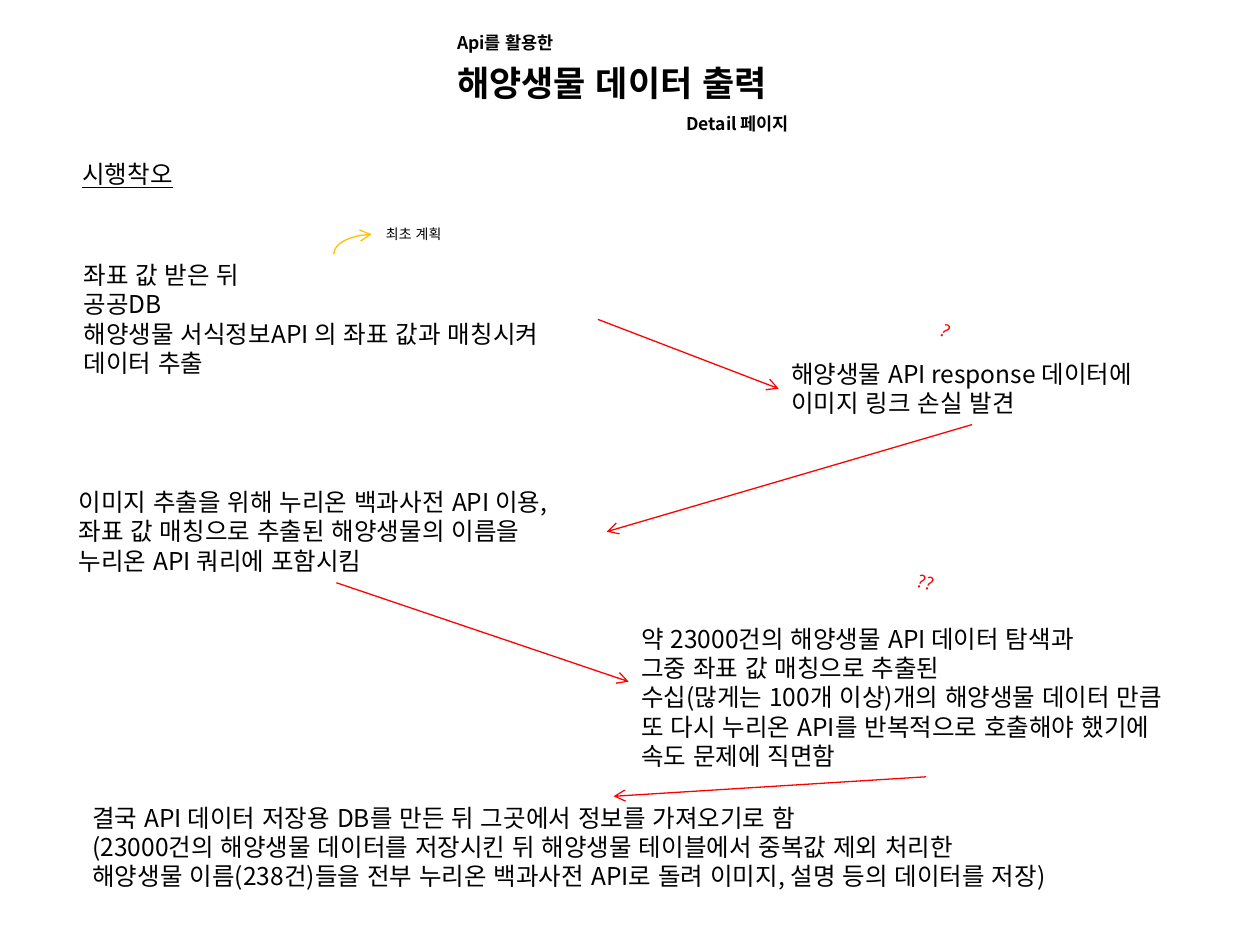
from dataclasses import dataclass

from lxml.etree import SubElement
from pptx import Presentation
from pptx.dml.color import RGBColor
from pptx.enum.lang import MSO_LANGUAGE_ID
from pptx.enum.shapes import MSO_CONNECTOR
from pptx.enum.text import MSO_ANCHOR, MSO_AUTO_SIZE
from pptx.oxml.ns import qn
from pptx.shapes.autoshape import Shape
from pptx.shapes.connector import Connector
from pptx.slide import Slide
from pptx.util import Inches, Length, Pt

COLUMNS, ROWS = 100, 75
TOP, LEFT, BOTTOM, RIGHT = range(4)


@dataclass(frozen=True)
class Theme:
    font: str = "Noto Sans CJK KR"
    ink: RGBColor = RGBColor(0, 0, 0)
    alert: RGBColor = RGBColor(255, 0, 0)
    plan: RGBColor = RGBColor(255, 192, 0)
    title: int = 20
    body: int = 14
    small: int = 10
    label: int = 8
    stroke: float = 0.75


THEME = Theme()


@dataclass(frozen=True)
class Passage:
    key: str
    column: float
    row: float
    columns: float
    rows: float
    lines: tuple[str, ...]
    size: int = THEME.body
    color: RGBColor = THEME.ink
    bold: bool = False
    underline: bool = False
    rotation: float = 0
    anchor: MSO_ANCHOR = MSO_ANCHOR.TOP


@dataclass(frozen=True)
class Arrow:
    source: str
    source_side: int
    target: str
    target_side: int


PASSAGES = (
    Passage("title", 35.3, 4.4, 29.2, 4.4, ("해양생물 데이터 출력",), THEME.title, bold=True),
    Passage("lead", 35.3, 2.05, 10.4, 2.7, ("Api를 활용한",), THEME.small, bold=True),
    Passage("page name", 53.5, 8.5, 10.6, 2.7, ("Detail 페이지",), THEME.small, bold=True),
    Passage("heading", 5.55, 12.15, 9.9, 3.4, ("시행착오",), underline=True),
    Passage("first plan", 5.65, 20.15, 41.8, 10.4, (
        "좌표 값 받은 뒤",
        "공공DB",
        "해양생물 서식정보API 의 좌표 값과 매칭시켜",
        "데이터 추출",
    )),
    Passage("lost links", 61.8, 28, 30.7, 5.7, (
        "해양생물 API response 데이터에",
        "이미지 링크 손실 발견",
    )),
    Passage("encyclopedia", 5.25, 38.15, 42.9, 8.1, (
        "이미지 추출을 위해 누리온 백과사전 API 이용,",
        "좌표 값 매칭으로 추출된 해양생물의 이름을",
        "누리온 API 쿼리에 포함시킴",
    )),
    Passage("slow calls", 49.9, 46.55, 47.2, 15.1, (
        "약 23000건의 해양생물 API 데이터 탐색과",
        "그중 좌표 값 매칭으로 추출된",
        "수십(많게는 100개 이상)개의 해양생물 데이터 만큼",
        "또 다시 누리온 API를 반복적으로 호출해야 했기에",
        "속도 문제에 직면함",
    ), anchor=MSO_ANCHOR.BOTTOM),
    Passage("own database", 6.35, 63.2, 84.7, 8.1, (
        "결국 API 데이터 저장용 DB를 만든 뒤 그곳에서 정보를 가져오기로 함",
        "(23000건의 해양생물 데이터를 저장시킨 뒤 해양생물 테이블에서 중복값 제외 처리한",
        "해양생물 이름(238건)들을 전부 누리온 백과사전 API로 돌려 이미지, 설명 등의 데이터를 저장)",
    )),
    Passage("plan label", 29.65, 17.4, 6.9, 2.4, ("최초 계획",), THEME.label),
    Passage("doubt", 73.7, 24.95, 2.7, 2.7, ("?",), THEME.small, THEME.alert, rotation=31.2),
    Passage("more doubt", 71.85, 44.9, 3.3, 2.7, ("??",), THEME.small, THEME.alert, rotation=19.8),
)

ARROWS = (
    Arrow("first plan", RIGHT, "lost links", LEFT),
    Arrow("lost links", BOTTOM, "encyclopedia", RIGHT),
    Arrow("encyclopedia", BOTTOM, "slow calls", LEFT),
    Arrow("slow calls", BOTTOM, "own database", TOP),
)


def across(columns: float) -> Length:
    return Inches(10 * columns / COLUMNS)


def down(rows: float) -> Length:
    return Inches(7.5 * rows / ROWS)


def draw_passage(page: Slide, passage: Passage) -> Shape:
    box = page.shapes.add_textbox(
        across(passage.column), down(passage.row),
        across(passage.columns), down(passage.rows),
    )
    if passage.rotation:
        box.rotation = passage.rotation
    frame = box.text_frame
    frame.text = "\n".join(passage.lines)
    frame.word_wrap = False
    frame.auto_size = MSO_AUTO_SIZE.SHAPE_TO_FIT_TEXT
    frame.vertical_anchor = passage.anchor
    for para in frame.paragraphs:
        for span in para.runs:
            font = span.font
            font.language_id = MSO_LANGUAGE_ID.KOREAN
            font.name = THEME.font
            font.size = Pt(passage.size)
            font.bold = passage.bold
            font.underline = passage.underline
            font.color.rgb = passage.color
            SubElement(font._element, qn("a:ea"), typeface=THEME.font)
    return box


def style_arrow(connector: Connector, color: RGBColor) -> None:
    connector.line.color.rgb = color
    connector.line.width = Pt(THEME.stroke)
    SubElement(connector.line._get_or_add_ln(), qn("a:tailEnd"), type="arrow")
    SubElement(connector._element.spPr, qn("a:effectLst"))


def draw_arrow(page: Slide, boxes: dict[str, Shape], arrow: Arrow) -> None:
    connector = page.shapes.add_connector(MSO_CONNECTOR.STRAIGHT, 0, 0, 0, 0)
    connector.begin_connect(boxes[arrow.source], arrow.source_side)
    connector.end_connect(boxes[arrow.target], arrow.target_side)
    style_arrow(connector, THEME.alert)


def draw_plan_curve(page: Slide) -> None:
    curve = page.shapes.add_connector(
        MSO_CONNECTOR.CURVE, across(28.8), down(20.9), across(27.2), down(17.9)
    )
    properties = curve._element.spPr
    properties.find(qn("a:xfrm")).set("rot", str(90 * 60000))
    properties.find(qn("a:prstGeom")).set("prst", "curvedConnector2")
    style_arrow(curve, THEME.plan)


def main() -> None:
    deck = Presentation()
    deck.slide_width, deck.slide_height = across(COLUMNS), down(ROWS)
    page = deck.slides.add_slide(deck.slide_layouts[6])
    boxes = {passage.key: draw_passage(page, passage) for passage in PASSAGES}
    for arrow in ARROWS:
        draw_arrow(page, boxes, arrow)
    draw_plan_curve(page)
    deck.save("out.pptx")


if __name__ == "__main__":
    main()
